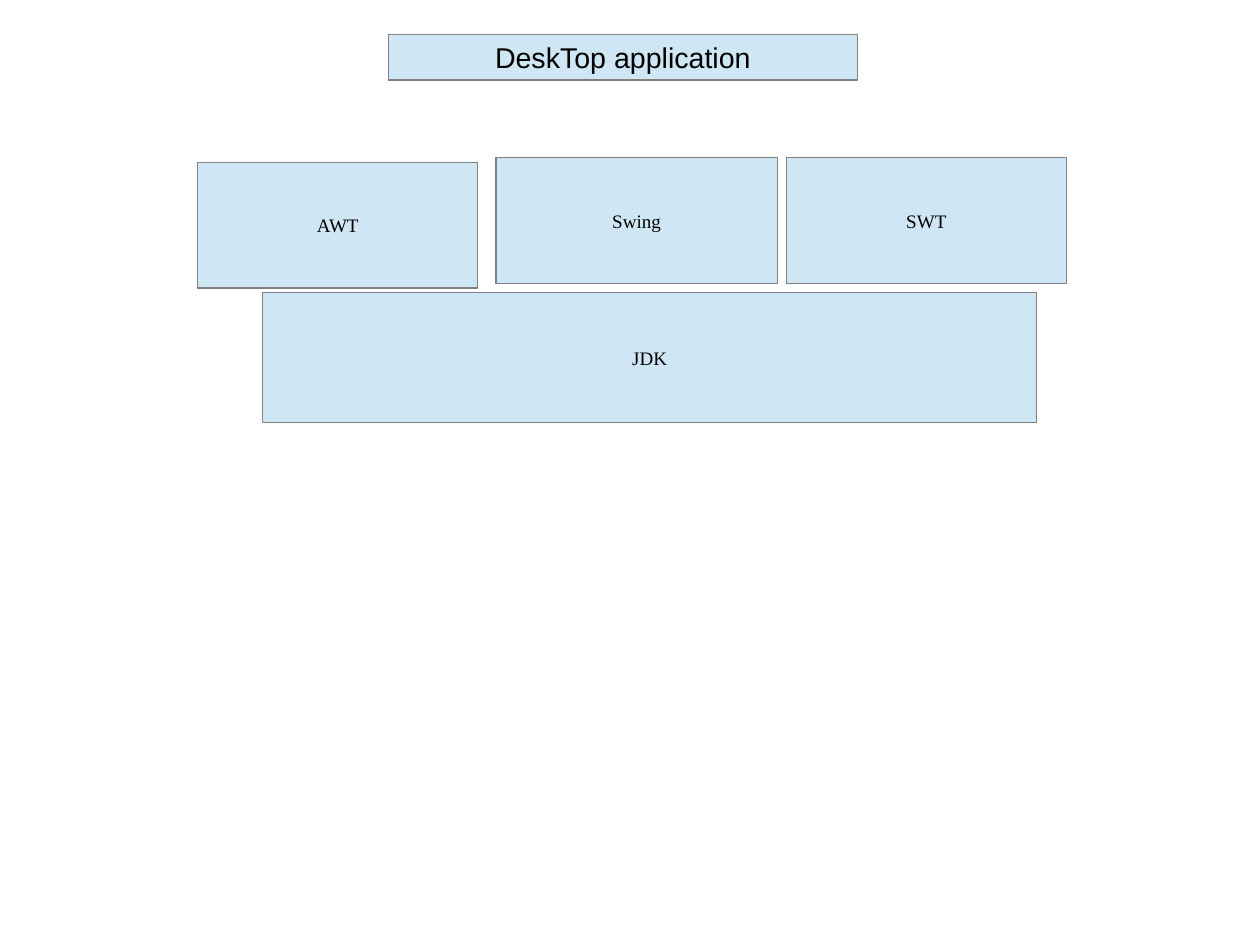
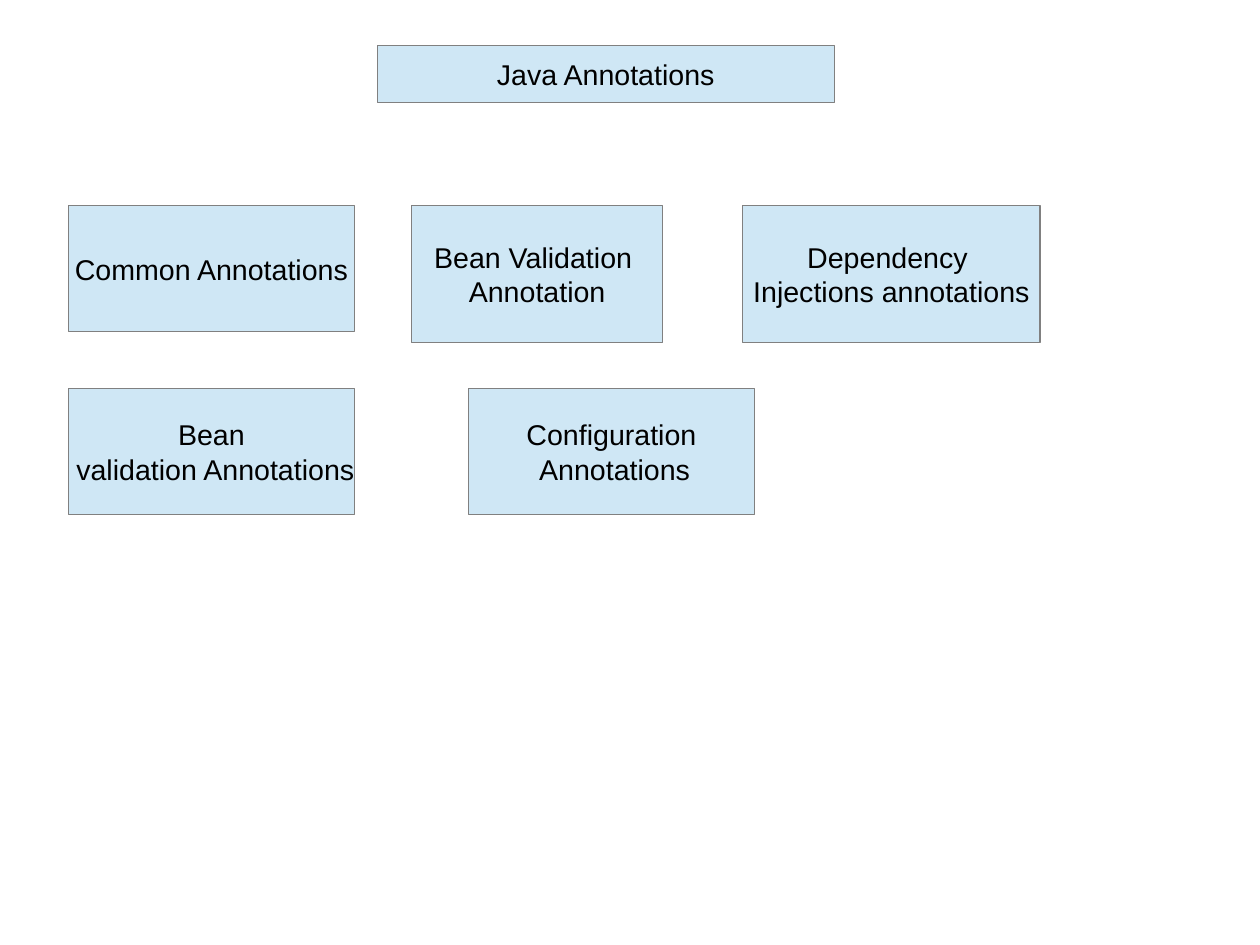
"""Build two slides of labelled boxes: desktop toolkits and Java annotations."""
from dataclasses import dataclass

from pptx import Presentation
from pptx import util as u
from pptx.dml.color import RGBColor
from pptx.enum import shapes, text
from pptx.slide import Slide

BOX_FILL = RGBColor(0xCF, 0xE7, 0xF5)
BOX_LINE = RGBColor(0x80, 0x80, 0x80)
INK = RGBColor(0, 0, 0)
CELL = u.Inches(0.1)
PAGE = {"slide_width": u.Pt(793.75), "slide_height": u.Pt(595.25)}


@dataclass(frozen=True)
class BoxStyle:
    """Font and text frame settings of a kind of box."""
    font: dict
    frame: dict


@dataclass(frozen=True)
class Box:
    """A labelled box placed in grid columns and rows."""
    label: str
    column: float
    row: float
    width: float
    height: float


def frame_format(side: float, end: float, wrap: bool) -> dict:
    """Return text frame settings for margins given in inches."""
    return {
        "margin_left": u.Inches(side), "margin_right": u.Inches(side),
        "margin_top": u.Inches(end), "margin_bottom": u.Inches(end),
        "word_wrap": wrap, "vertical_anchor": text.MSO_ANCHOR.MIDDLE,
    }


LAYER = BoxStyle({"name": "Times New Roman", "size": u.Pt(12)}, frame_format(0, 0, True))
TOPIC = BoxStyle({"name": "Arial", "size": u.Pt(18)}, frame_format(0.1, 0.05, False))

DESKTOP_LAYERS = (
    Box("JDK", 23, 25.6, 67.7, 11.4),
    Box("AWT", 17.3, 14.2, 24.5, 11),
    Box("Swing", 43.4, 13.8, 24.6, 11),
    Box("SWT", 68.8, 13.8, 24.5, 11),
)
DESKTOP_TITLE = Box("DeskTop application", 34, 3, 41, 4)
ANNOTATION_TITLE = Box("Java Annotations", 33, 4, 40, 5)
ANNOTATION_TOPICS = (
    Box("Common Annotations", 6, 18, 25, 11),
    Box("Bean Validation \nAnnotation", 36, 18, 22, 12),
    Box("Dependency \nInjections annotations", 65, 18, 26, 12),
    Box("Bean\n validation Annotations", 6, 34, 25, 11),
    Box("Configuration\n Annotations", 41, 34, 25, 11),
)
SLIDES = (
    ((LAYER, DESKTOP_LAYERS), (TOPIC, (DESKTOP_TITLE,))),
    ((TOPIC, (ANNOTATION_TITLE, *ANNOTATION_TOPICS)),),
)


def grid(cells: float) -> u.Emu:
    """Convert grid cells to a length."""
    return u.Emu(round(cells * CELL))


def apply_format(target: object, values: dict) -> None:
    """Set every named attribute on the target."""
    for name, value in values.items():
        setattr(target, name, value)


def draw_box(slide: Slide, box: Box, style: BoxStyle) -> None:
    """Draw one box with its centred label."""
    place = (grid(cells) for cells in (box.column, box.row, box.width, box.height))
    shape = slide.shapes.add_shape(shapes.MSO_SHAPE.RECTANGLE, *place)
    shape.shadow.inherit = False
    shape.fill.solid()
    shape.fill.fore_color.rgb = BOX_FILL
    shape.line.color.rgb = BOX_LINE
    shape.line.width = u.Pt(0.75)
    apply_format(shape.text_frame, style.frame)
    shape.text_frame.text = box.label
    for paragraph in shape.text_frame.paragraphs:
        paragraph.alignment = text.PP_ALIGN.CENTER
        for run in paragraph.runs:
            apply_format(run.font, style.font)
            run.font.color.rgb = INK


def build() -> None:
    """Create the presentation and save it."""
    presentation = Presentation()
    apply_format(presentation, PAGE)
    blank_layout = presentation.slide_layouts[6]
    for groups in SLIDES:
        slide = presentation.slides.add_slide(blank_layout)
        for style, boxes in groups:
            for box in boxes:
                draw_box(slide, box, style)
    presentation.save("out.pptx")


build()
